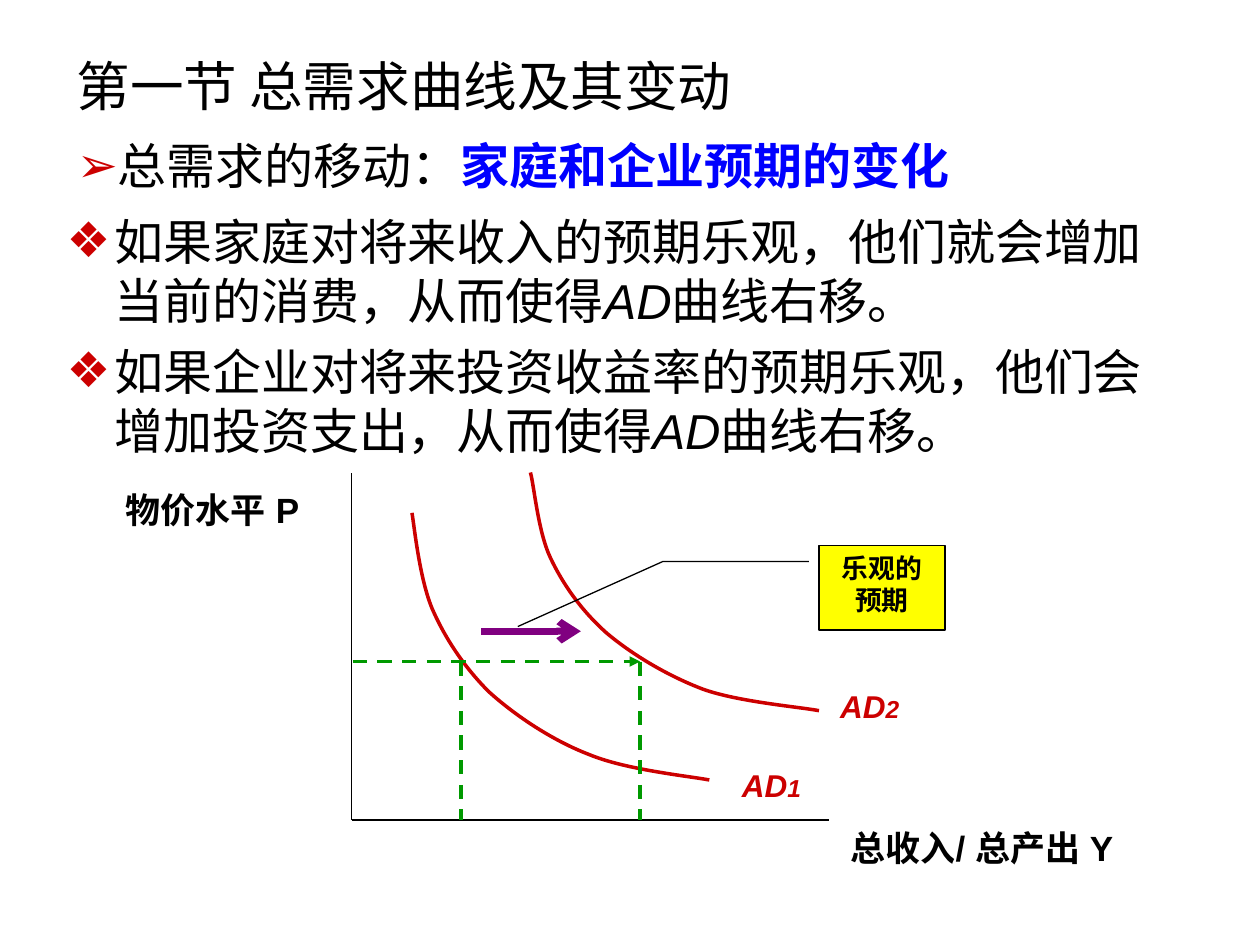
from dataclasses import dataclass

from lxml.etree import SubElement
from pptx import Presentation
from pptx.dml.color import RGBColor
from pptx.enum.dml import MSO_LINE
from pptx.enum.shapes import MSO_CONNECTOR, MSO_SHAPE
from pptx.enum.text import MSO_ANCHOR, MSO_AUTO_SIZE, PP_ALIGN
from pptx.oxml.ns import qn
from pptx.util import Inches, Pt

COLUMNS, ROWS = 100, 75


@dataclass(frozen=True)
class Theme:
    ink: str = "000000"
    accent: str = "0000FF"
    red: str = "CC0000"
    guide: str = "009900"
    shift: str = "800080"
    note: str = "FFFF00"
    shade: str = "C0C0C0"
    font: str = "Arial"
    heading_font: str = "Noto Sans CJK SC"
    heading: float = 30.6
    body: float = 28
    axis: float = 20
    curve: float = 18
    index: float = 14
    callout: float = 15.3


class Board:
    """One slide, laid out on a grid of 100 columns and 75 rows."""

    def __init__(self, deck, theme):
        self.theme = theme
        self.slide = deck.slides.add_slide(deck.slide_layouts[5])
        self.shapes = self.slide.shapes
        self.column = deck.slide_width / COLUMNS
        self.row = deck.slide_height / ROWS

    def place(self, x, y):
        return round(x * self.column), round(y * self.row)

    def box(self, x, y, wide, high):
        return *self.place(x, y), *self.place(wide, high)

    def add_runs(self, paragraph, pieces, **common):
        """Fill a paragraph from (text, style changes) pairs."""
        for words, changes in pieces:
            style = dict(size=self.theme.body, color=self.theme.ink,
                         face=self.theme.font, bold=False, italic=False)
            style |= common | changes
            run = paragraph.add_run()
            run.text = words
            font = run.font
            font.size, font.name = Pt(style["size"]), style["face"]
            font.bold, font.italic = style["bold"], style["italic"]
            font.color.rgb = RGBColor.from_string(style["color"])
            SubElement(run._r.rPr, qn("a:ea"), typeface=style["face"])

    def bullet(self, paragraph, mark, hang=0):
        props = paragraph._p.get_or_add_pPr()
        props.set("marL", str(Inches(hang)))
        props.set("indent", str(-Inches(hang)))
        color = SubElement(props, qn("a:buClr"))
        SubElement(color, qn("a:srgbClr"), val=self.theme.red)
        SubElement(props, qn("a:buFont"), typeface=self.theme.font)
        SubElement(props, qn("a:buChar"), char=mark)

    def title(self, at, mark, pieces):
        holder = self.shapes.title
        holder.left, holder.top, holder.width, holder.height = self.box(*at)
        frame = holder.text_frame
        frame.auto_size = MSO_AUTO_SIZE.NONE
        frame.vertical_anchor = MSO_ANCHOR.MIDDLE
        line = frame.paragraphs[0]
        self.bullet(line, mark)
        line.alignment = PP_ALIGN.LEFT
        self.add_runs(line, pieces)

    def text(self, at, pieces, **style):
        frame = self.shapes.add_textbox(*self.box(*at)).text_frame
        frame.word_wrap = True
        self.add_runs(frame.paragraphs[0], pieces, **style)
        return frame

    def heading(self, at, words):
        frame = self.text(at, [(words, {})], size=self.theme.heading,
                          face=self.theme.heading_font)
        frame.vertical_anchor = MSO_ANCHOR.MIDDLE
        line = frame.paragraphs[0]
        line.line_spacing = 0.9
        props = line.runs[0]._r.rPr
        effects = SubElement(props, qn("a:effectLst"))
        shadow = SubElement(effects, qn("a:outerShdw"),
                            dist="25400", dir="2700000")
        SubElement(shadow, qn("a:srgbClr"), val=self.theme.shade)
        props.find(qn("a:latin")).addprevious(effects)

    def bullets(self, at, mark, items):
        frame = self.text(at, [])
        for number, pieces in enumerate(items):
            line = frame.add_paragraph() if number else frame.paragraphs[0]
            self.bullet(line, mark, hang=0.38)
            if number:
                line.space_before = Pt(7)
            self.add_runs(line, pieces)

    def stroke(self, line, color, width):
        line.color.rgb = RGBColor.from_string(color)
        line.width = Pt(width)

    def line(self, start, end, color, width, dash=None, head=None):
        connector = self.shapes.add_connector(
            MSO_CONNECTOR.STRAIGHT, *self.place(*start), *self.place(*end))
        self.stroke(connector.line, color, width)
        if dash:
            connector.line.dash_style = dash
        props = connector._element.spPr
        if head:
            SubElement(props.find(qn("a:ln")), qn("a:tailEnd"), type=head)
        SubElement(props, qn("a:effectLst"))

    def curve(self, points):
        """Draw a Bezier chain: a start, then two handles and an end per piece."""
        start, *rest = [self.place(*point) for point in points]
        builder = self.shapes.build_freeform(*start)
        builder.add_line_segments(rest, close=False)
        shape = builder.convert_to_shape()
        shape.shadow.inherit = False
        shape.fill.background()
        self.stroke(shape.line, self.theme.red, 2)
        outline = shape._element.find(".//" + qn("a:pathLst"))[0]
        steps = outline.findall(qn("a:lnTo"))
        for first in range(0, len(steps), 3):
            bend = SubElement(outline, qn("a:cubicBezTo"))
            for step in steps[first:first + 3]:
                bend.append(step[0])
                outline.remove(step)

    def callout(self, at, words, adjustments):
        shape = self.shapes.add_shape(MSO_SHAPE.LINE_CALLOUT_2, *self.box(*at))
        shape.shadow.inherit = False
        shape.fill.solid()
        shape.fill.fore_color.rgb = RGBColor.from_string(self.theme.note)
        self.stroke(shape.line, self.theme.ink, 0.75)
        for number, value in enumerate(adjustments):
            shape.adjustments[number] = value
        frame = shape.text_frame
        frame.word_wrap = True
        frame.vertical_anchor = MSO_ANCHOR.TOP
        frame.paragraphs[0].alignment = PP_ALIGN.CENTER
        self.add_runs(frame.paragraphs[0], [(words, {})],
                      size=self.theme.callout, bold=True)


def main():
    deck = Presentation()
    deck.slide_width, deck.slide_height = Inches(10), Inches(7.5)
    theme = Theme()
    board = Board(deck, theme)

    board.title((5.1, 8.4, 90, 9.4), "➢", [
        ("总需求的移动：", {}),
        ("家庭和企业预期的变化", dict(color=theme.accent, bold=True))])
    reasons = ("如果家庭对将来收入的预期乐观，他们就会增加当前的消费，从而使得",
               "如果企业对将来投资收益率的预期乐观，他们会增加投资支出，从而使得")
    board.bullets((4.3, 16.3, 90, 20.8), "❖", [
        [(reason, {}), ("AD", dict(italic=True)), ("曲线右移。", {})]
        for reason in reasons])

    origin = (27.9, 65.1)
    for axis_end in ((27.9, 37.5), (65.8, 65.1)):
        board.line(origin, axis_end, theme.ink, 1)
    for at, words in (((9, 38.3, 16.5, 4.4), "物价水平 P"),
                      ((66.5, 65.1, 24.2, 7.7), "总收入/ 总产出 Y")):
        board.text(at, [(words, {})], size=theme.axis, bold=True)

    board.curve([(32.7, 40.7), (32.9, 41.9), (33.3, 45.9), (34.3, 48.3),
                 (35.3, 50.6), (36.8, 52.9), (38.8, 54.9),
                 (40.9, 56.8), (43.9, 58.8), (46.8, 59.9),
                 (49.7, 61.1), (54.7, 61.6), (56.3, 61.9)])
    board.curve([(42.1, 37.5), (42.4, 38.6), (42.7, 42.2), (43.7, 44.3),
                 (44.7, 46.4), (46.1, 48.4), (48.1, 50.2),
                 (50.1, 51.9), (52.9, 53.6), (55.8, 54.7),
                 (58.6, 55.7), (63.4, 56.1), (65, 56.4)])
    for x, y, index in ((57.9, 60.3, "1"), (65.7, 54, "2")):
        board.text((x, y, 6.9, 4), [("AD", {}), (index, dict(size=theme.index))],
                   size=theme.curve, color=theme.red, bold=True, italic=True)

    price, incomes = 52.5, (36.6, 50.8)
    board.line((28, price), (incomes[-1], price), theme.guide, 2,
               MSO_LINE.DASH, "triangle")
    for income in incomes:
        board.line((income, price), (income, origin[1]), theme.guide, 2,
                   MSO_LINE.DASH)
    board.line((38.2, 50.1), (46.1, 50.1), theme.shift, 4, head="arrow")
    board.callout((65, 43.3, 10, 6.7), "乐观的预期",
                  (0.19, -0.08, 0.19, -1.24, 0.96, -2.39))
    board.heading((5.1, 3.9, 68.5, 6.3), "第一节 总需求曲线及其变动")
    deck.save("out.pptx")


if __name__ == "__main__":
    main()
